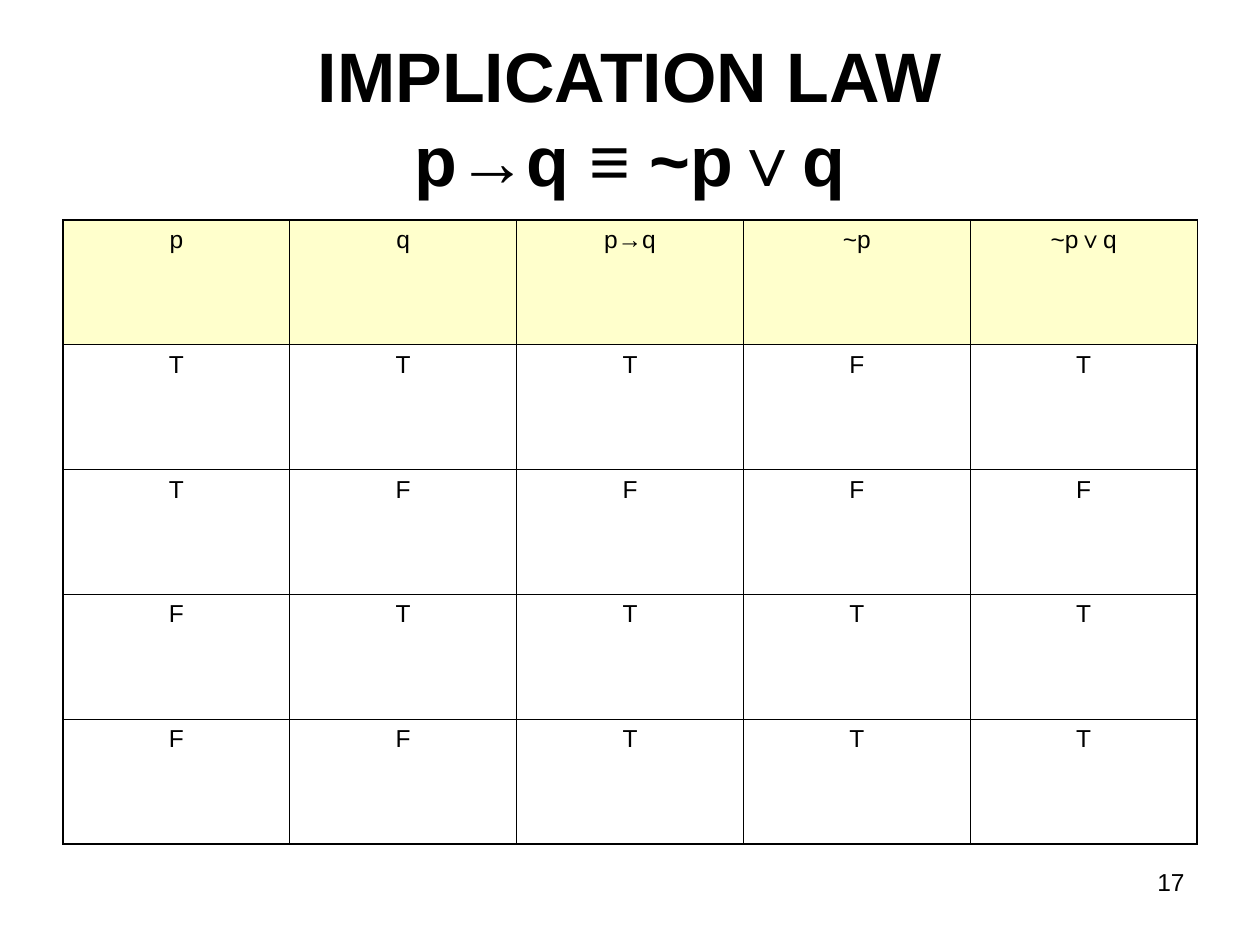
from lxml import etree
from pptx import Presentation
from pptx import util as u
from pptx.dml.color import RGBColor
from pptx.enum import text
from pptx.oxml import ns

TITLE = ["IMPLICATION LAW", "p→q ≡ ~p∨q"]
TRUTH = [
    ["p", "q", "p→q", "~p", "~p∨q"],
    ["T", "T", "T", "F", "T"],
    ["T", "F", "F", "F", "F"],
    ["F", "T", "T", "T", "T"],
    ["F", "F", "T", "T", "T"],
]
PAGE = "17"
FONT = "Arial"
COLORS = {"ink": "000000", "header": "FFFFCC"}
THIN, THICK = 0.45, 1.08
SCALE = 914400 / 126


def px(n):
    return u.Emu(round(n * SCALE))


def place(sp, left, top, width, height):
    sp.left, sp.top, sp.width, sp.height = map(px, (left, top, width, height))


def add_run(p, words, size, bold=False):
    r = p.add_run()
    r.text = words
    r.font.name = FONT
    r.font.size = u.Pt(size)
    r.font.bold = bold
    r.font.color.rgb = RGBColor.from_string(COLORS["ink"])


def add_border(cell, side, width):
    ln = etree.SubElement(cell._tc.get_or_add_tcPr(), ns.qn("a:ln" + side), w=str(u.Pt(width)))
    fill = etree.SubElement(ln, ns.qn("a:solidFill"))
    etree.SubElement(fill, ns.qn("a:srgbClr"), val=COLORS["ink"])


prs = Presentation()
prs.slide_width, prs.slide_height = px(1260), px(945)
s = prs.slides.add_slide(prs.slide_layouts[5])

title = s.shapes.title
place(title, 63, 38, 1134, 158)
tf = title.text_frame
tf.word_wrap = True
tf.auto_size = text.MSO_AUTO_SIZE.NONE
tf.vertical_anchor = text.MSO_ANCHOR.MIDDLE
p = tf.paragraphs[0]
p.alignment = text.PP_ALIGN.CENTER
for i, line in enumerate(TITLE):
    if i:
        p.add_line_break()
    add_run(p, line, 40, True)

rows, cols = len(TRUTH), len(TRUTH[0])
table = s.shapes.add_table(rows, cols, px(63), px(220), px(1134), px(624)).table
table.first_row = table.horz_banding = False
for i, values in enumerate(TRUTH):
    for j, value in enumerate(values):
        cell = table.cell(i, j)
        outer = {"L": j == 0, "R": j == cols - 1 and i > 0, "T": i == 0, "B": i == rows - 1}
        for side, thick in outer.items():
            add_border(cell, side, THICK if thick else THIN)
        if i == 0:
            cell.fill.solid()
            cell.fill.fore_color.rgb = RGBColor.from_string(COLORS["header"])
        else:
            cell.fill.background()
        p = cell.text_frame.paragraphs[0]
        p.alignment = text.PP_ALIGN.CENTER
        add_run(p, value, 14)

number = s.shapes.add_textbox(px(903), px(861), px(294), px(66))
number.text_frame.word_wrap = True
p = number.text_frame.paragraphs[0]
p.alignment = text.PP_ALIGN.RIGHT
add_run(p, PAGE, 14)

prs.save("out.pptx")
